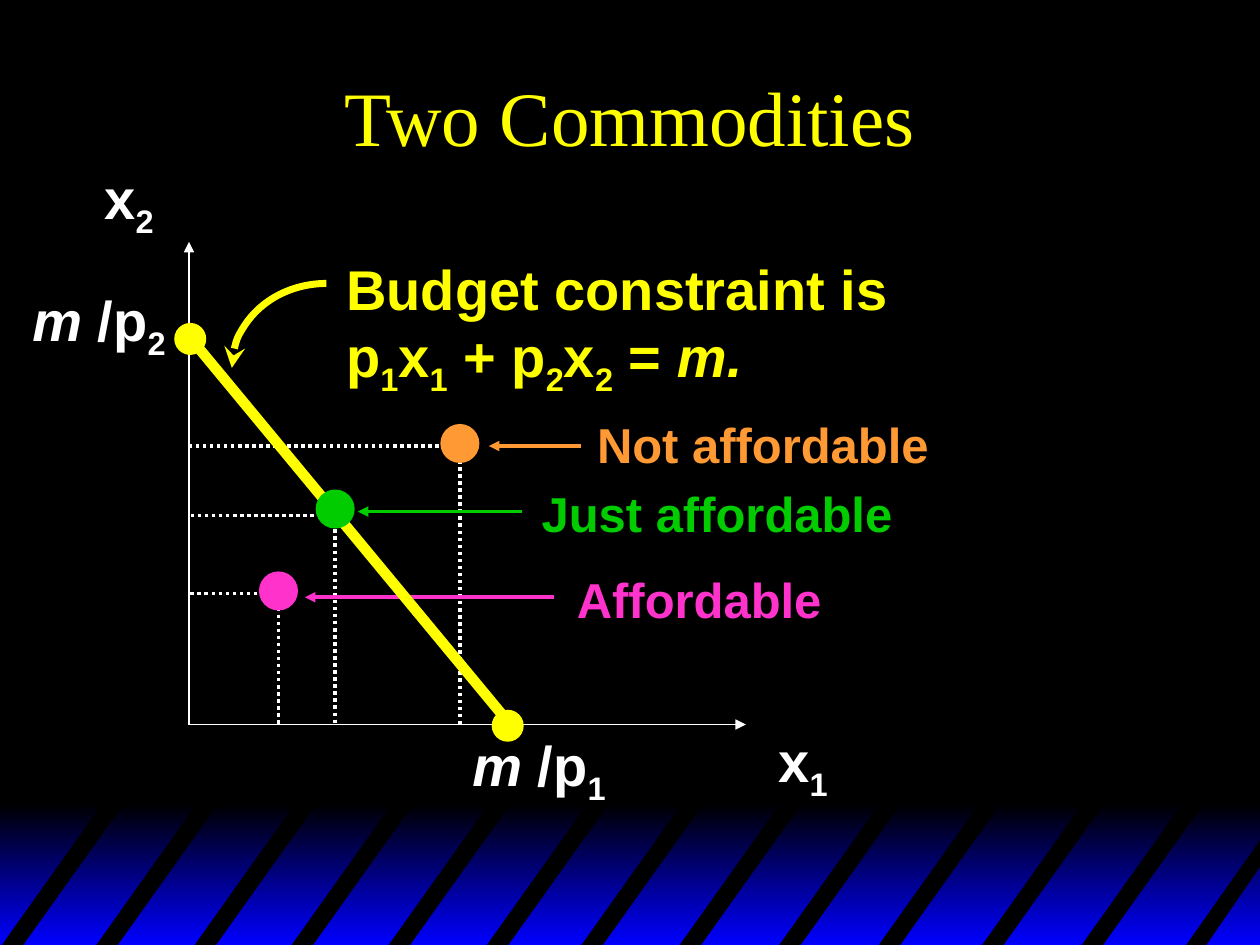
"""Builds the Two Commodities budget constraint slide."""
from pptx import Presentation
from pptx.dml.color import RGBColor
from pptx.enum.dml import MSO_LINE
from pptx.enum.shapes import MSO_CONNECTOR, MSO_SHAPE
from pptx.enum.text import MSO_ANCHOR, PP_ALIGN
from pptx.oxml.ns import qn
from pptx.util import Inches, Pt
from lxml.etree import SubElement

COLORS = {
    "black": "000000", "blue": "0000FF", "white": "FFFFFF", "yellow": "FFFF00",
    "pink": "FF33CC", "green": "00CC00", "orange": "FF9933",
}
ORIGIN_X, ORIGIN_Y = 1.5, 5.75
STRIPE_LEFTS = [0, 0.75, 1.53, 2.3, 3.07, 3.85, 4.6, 5.38, 6.17, 6.96, 7.78, 8.57]
STRIPE_TOP, STRIPE_BOTTOM = 6.34, 7.52


def rgb(name):
    return RGBColor.from_string(COLORS[name])


def fill_solid(s, color):
    s.shadow.inherit = False
    s.fill.solid()
    s.fill.fore_color.rgb = rgb(color)
    s.line.fill.background()


def add_stripe(slide, points):
    builder = slide.shapes.build_freeform(Inches(points[0][0]), Inches(points[0][1]), scale=1.0)
    builder.add_line_segments([(Inches(x), Inches(y)) for x, y in points[1:]], close=True)
    fill_solid(builder.convert_to_shape(), "black")


def add_backdrop(slide):
    slide.background.fill.solid()
    slide.background.fill.fore_color.rgb = rgb("black")
    band = slide.shapes.add_shape(
        MSO_SHAPE.RECTANGLE, 0, Inches(6.38), Inches(10.02), Inches(1.12))
    band.shadow.inherit = False
    band.line.fill.background()
    band.fill.gradient()
    band.fill.gradient_angle = 270
    for stop, color in zip(band.fill.gradient_stops, ("black", "blue")):
        stop.color.rgb = rgb(color)
    for x in STRIPE_LEFTS:
        add_stripe(slide, [(x, STRIPE_BOTTOM), (x + 0.84, STRIPE_TOP),
                           (x + 1.01, STRIPE_TOP), (x + 0.17, STRIPE_BOTTOM)])
    add_stripe(slide, [(9.4, STRIPE_BOTTOM), (10.02, 6.64), (10.02, 6.85), (9.56, STRIPE_BOTTOM)])


def add_text(slide, box, paragraphs, color, size=32, font="Arial", bold=True, wrap=True,
             align=PP_ALIGN.LEFT, anchor=MSO_ANCHOR.TOP):
    tf = slide.shapes.add_textbox(*map(Inches, box)).text_frame
    tf.word_wrap = wrap
    tf.vertical_anchor = anchor
    for i, runs in enumerate(paragraphs):
        p = tf.paragraphs[0] if i == 0 else tf.add_paragraph()
        p.alignment = align
        p.font.name, p.font.size, p.font.bold = font, Pt(size), bold
        p.font.color.rgb = rgb(color)
        for text, style in runs:
            r = p.add_run()
            r.text = text
            if style == "italic":
                r.font.italic = True
            elif style == "sub":
                r.font._element.set("baseline", "-25000")


def add_line(slide, start, end, color, width, dotted=False, arrow=False):
    s = slide.shapes.add_connector(MSO_CONNECTOR.STRAIGHT, *map(Inches, (*start, *end)))
    s.line.color.rgb = rgb(color)
    s.line.width = Pt(width)
    if dotted:
        s.line.dash_style = MSO_LINE.ROUND_DOT
    if arrow:
        SubElement(s.line._get_or_add_ln(), qn("a:tailEnd"), type="triangle")
    SubElement(s._element.spPr, qn("a:effectLst"))


def add_dot(slide, x, y, size, color):
    s = slide.shapes.add_shape(
        MSO_SHAPE.OVAL, *map(Inches, (x - size / 2, y - size / 2, size, size)))
    fill_solid(s, color)
    return s


def add_intercept(slide, x, y):
    s = add_dot(slide, x, y, 0.24, "yellow")
    s.line.color.rgb = rgb("yellow")
    s.line.width = Pt(1)


def add_guides(slide, x, y):
    add_line(slide, (x, y), (ORIGIN_X, y), "white", 2, dotted=True)
    add_line(slide, (x, y), (x, ORIGIN_Y), "white", 2, dotted=True)


def add_callout(slide, box, text, color, tail_x, tip_x, y):
    add_text(slide, box, [[(text, "")]], color, size=28, wrap=False)
    add_line(slide, (tail_x, y), (tip_x, y), color, 2, arrow=True)


def add_curved_arrow(slide):
    s = slide.shapes.add_shape(MSO_SHAPE.ARC, *map(Inches, (1.84, 2.25, 1.5, 1.34)))
    s.shadow.inherit = False
    s.adjustments[0], s.adjustments[1] = 108, 162
    s.fill.background()
    s.line.color.rgb = rgb("yellow")
    s.line.width = Pt(4)
    SubElement(s.line._get_or_add_ln(), qn("a:headEnd"), type="stealth")


def main():
    prs = Presentation()
    prs.slide_width, prs.slide_height = Inches(10), Inches(7.5)
    slide = prs.slides.add_slide(prs.slide_layouts[6])
    add_backdrop(slide)
    add_text(slide, (0.75, 0.25, 8.5, 1.33), [[("Two Commodities", "")]], "yellow", size=44,
             font="Times New Roman", bold=False, align=PP_ALIGN.CENTER, anchor=MSO_ANCHOR.MIDDLE)

    origin = (ORIGIN_X, ORIGIN_Y)
    add_line(slide, origin, (ORIGIN_X, 1.92), "white", 1, arrow=True)
    add_line(slide, origin, (5.92, ORIGIN_Y), "white", 1, arrow=True)
    for box, number in (((0.73, 1.25, 0.61, 0.71), "2"), ((6.08, 5.72, 0.67, 0.71), "1")):
        add_text(slide, box, [[("x", ""), (number, "sub")]], "white")
    for box, number in (((0.16, 2.22, 1.33, 0.71), "2"), ((3.65, 5.75, 1.35, 0.71), "1")):
        add_text(slide, box, [[("m ", "italic"), ("/p", ""), (number, "sub")]], "white")

    equation = [("p", ""), ("1", "sub"), ("x", ""), ("1", "sub"), (" + p", ""), ("2", "sub"),
                ("x", ""), ("2", "sub"), (" = ", ""), ("m.", "italic")]
    add_text(slide, (2.65, 1.97, 4.5, 1.24), [[("Budget constraint is", "")], equation],
             "yellow", wrap=False)
    add_curved_arrow(slide)

    for x, y in ((2.21, 4.71), (2.66, 4.09), (3.65, 3.54)):
        add_guides(slide, x, y)
    add_callout(slide, (4.48, 4.47, 2.14, 0.57), "Affordable", "pink", 4.4, 2.42, 4.74)
    add_callout(slide, (4.2, 3.79, 2.99, 0.57), "Just affordable", "green", 4.14, 2.84, 4.06)
    add_callout(slide, (4.64, 3.24, 2.83, 0.57), "Not affordable", "orange", 4.61, 3.88, 3.54)
    add_dot(slide, 2.21, 4.69, 0.31, "pink")
    add_dot(slide, 3.65, 3.52, 0.31, "orange")

    add_line(slide, (ORIGIN_X, 2.67), (4.05, ORIGIN_Y), "yellow", 6)
    add_intercept(slide, 1.51, 2.69)
    add_intercept(slide, 4.03, 5.76)
    add_dot(slide, 2.66, 4.04, 0.31, "green")
    prs.save("out.pptx")


if __name__ == "__main__":
    main()
